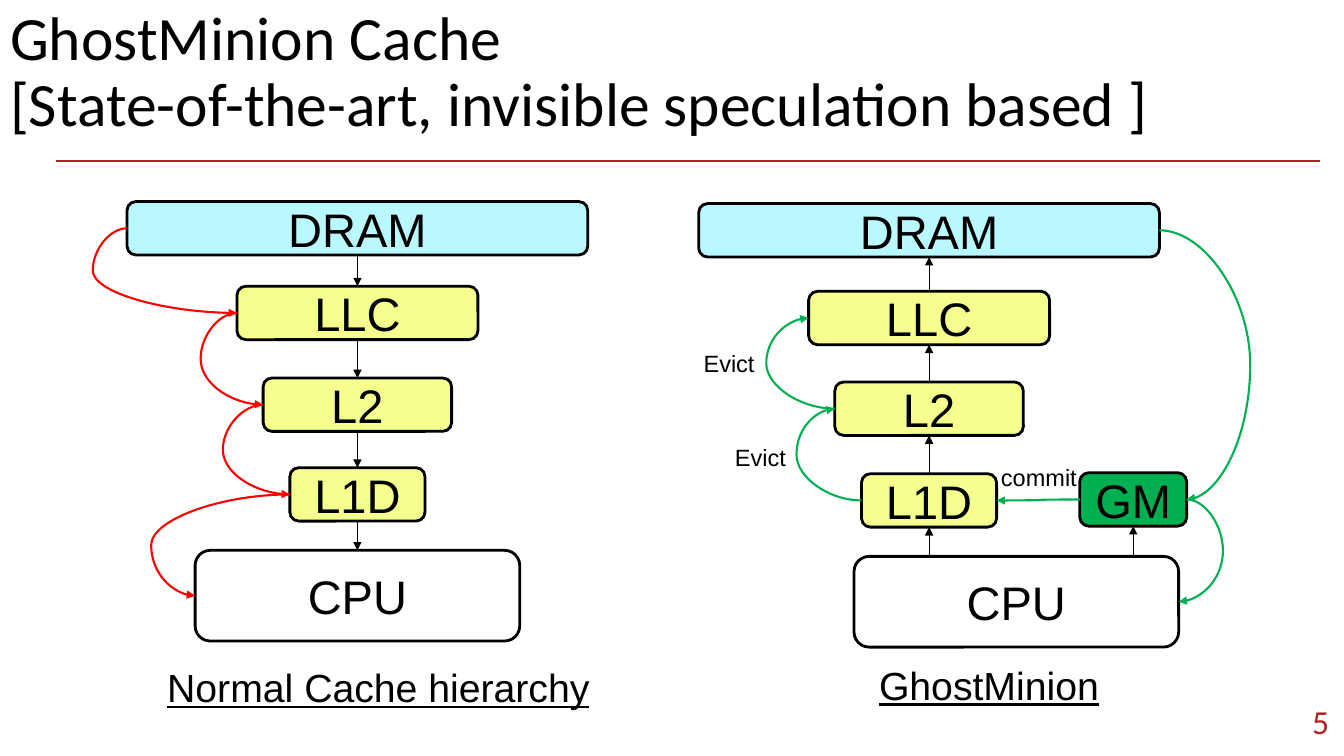
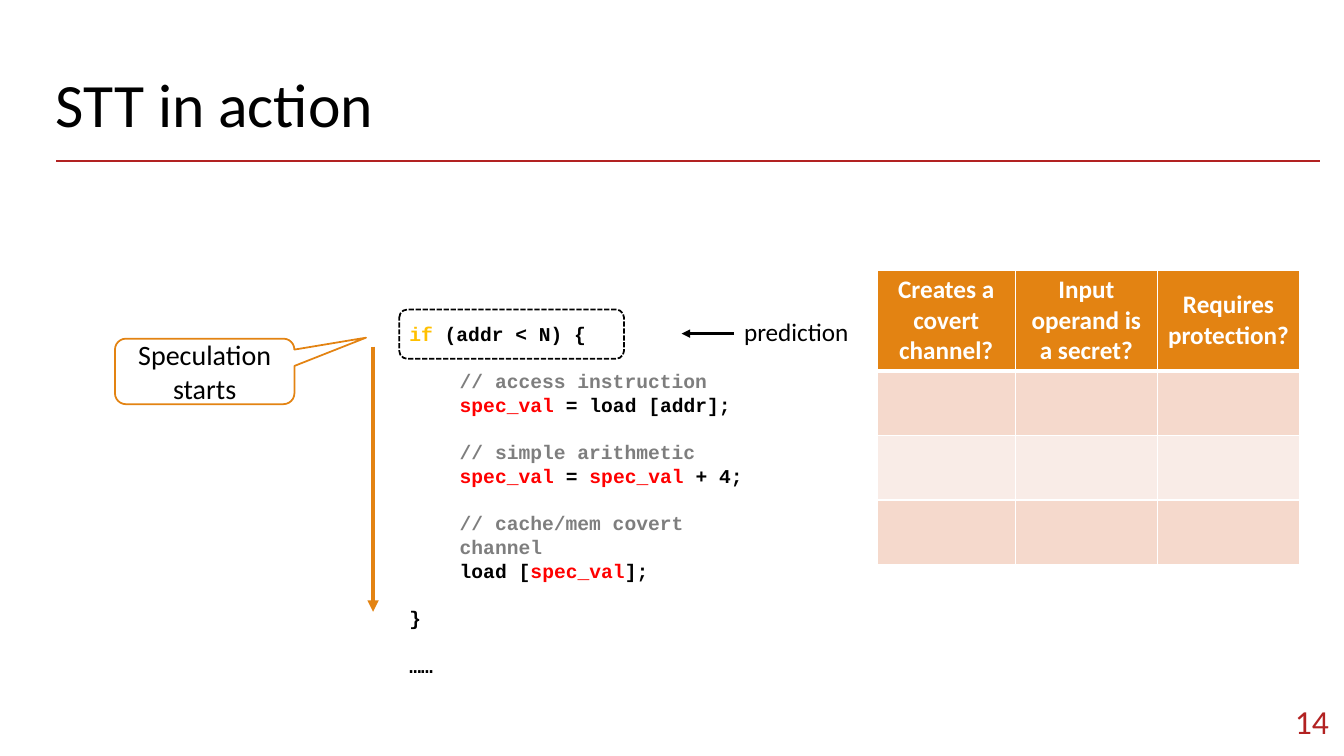
from lxml import etree
from pptx import Presentation
from pptx.dml.color import RGBColor
from pptx.enum.dml import MSO_LINE
from pptx.enum.shapes import MSO_CONNECTOR, MSO_SHAPE
from pptx.enum.text import MSO_ANCHOR, MSO_AUTO_SIZE, PP_ALIGN
from pptx.oxml.ns import qn
from pptx.util import Inches, Pt

STRAIGHT, CURVE = MSO_CONNECTOR.STRAIGHT, MSO_CONNECTOR.CURVE
ROUNDED, CALLOUT = MSO_SHAPE.ROUNDED_RECTANGLE, MSO_SHAPE.ROUNDED_RECTANGULAR_CALLOUT
SYS_DASH = MSO_LINE.SQUARE_DOT
LEFT, CENTER, RIGHT = PP_ALIGN.LEFT, PP_ALIGN.CENTER, PP_ALIGN.RIGHT
TOP_ANCHOR, MIDDLE = MSO_ANCHOR.TOP, MSO_ANCHOR.MIDDLE
NO_AUTOFIT = MSO_AUTO_SIZE.NONE

# Connection sites of a rounded rectangle
TOP_SITE, LEFT_SITE, BOTTOM_SITE, RIGHT_SITE = range(4)

BLACK, WHITE, RED, GRAY = "000000", "FFFFFF", "FF0000", "7E7E7E"
CRIMSON, GREEN, ORANGE, GOLD = "B22222", "00B050", "E38312", "FFC000"
YELLOW, CYAN = "F4FF8D", "BAF8FF"
BAND_DARK, BAND_LIGHT = "F5D9CC", "F9ECE7"
SANS, DIAGRAM, CODE = "Calibri", "Arial", "Courier New"

BOX_HEIGHT, CPU_WIDTH, CPU_HEIGHT = 0.53, 3.22, 0.9
DRAM_WIDTH = 4.57
CACHES = [("DRAM", DRAM_WIDTH, CYAN), ("LLC", 2.39, YELLOW),
          ("L2", 1.87, YELLOW), ("L1D", 1.34, YELLOW)]


def rgb(color):
    return RGBColor.from_string(color)


def set_font(target, size, name=SANS, color=BLACK, bold=False):
    font = target.font
    font.size, font.name, font.bold = Pt(size), name, bold
    font.color.rgb = rgb(color)


def set_frame(frame, anchor=TOP_ANCHOR, side=0.1, edge=0.05):
    frame.word_wrap = True
    frame.auto_size = NO_AUTOFIT
    frame.vertical_anchor = anchor
    frame.margin_left = frame.margin_right = Inches(side)
    frame.margin_top = frame.margin_bottom = Inches(edge)


def write(frame, text, size, name=SANS, color=BLACK, align=LEFT, bold=False):
    frame.text = text
    for paragraph in frame.paragraphs:
        paragraph.alignment = align
        set_font(paragraph, size, name, color, bold)


def add_text(slide, box, text, size, name=SANS, color=BLACK, align=LEFT,
             anchor=TOP_ANCHOR, side=0.1, edge=0.05):
    shape = slide.shapes.add_textbox(*map(Inches, box))
    set_frame(shape.text_frame, anchor, side, edge)
    write(shape.text_frame, text, size, name, color, align)
    return shape


def add_box(slide, preset, box, fill=None, line=BLACK, width=2):
    shape = slide.shapes.add_shape(preset, *map(Inches, box))
    shape.shadow.inherit = False
    if fill:
        shape.fill.solid()
        shape.fill.fore_color.rgb = rgb(fill)
    else:
        shape.fill.background()
    shape.line.color.rgb = rgb(line)
    shape.line.width = Pt(width)
    return shape


def style_connector(connector, color, width, arrow=True):
    connector.line.color.rgb = rgb(color)
    connector.line.width = Pt(width)
    properties = connector._element.spPr
    if arrow:
        outline = properties.find(qn("a:ln"))
        etree.SubElement(outline, qn("a:tailEnd"), type="triangle")
    etree.SubElement(properties, qn("a:effectLst"))


def add_line(slide, start, end, color=BLACK, width=0.75, arrow=True):
    connector = slide.shapes.add_connector(STRAIGHT, *map(Inches, start + end))
    style_connector(connector, color, width, arrow)
    return connector


def link(slide, kind, start, end, color=BLACK, width=0.75):
    """Glue an arrow between two (shape, site) pairs."""
    connector = slide.shapes.add_connector(kind, 0, 0, 0, 0)
    connector.begin_connect(*start)
    connector.end_connect(*end)
    style_connector(connector, color, width)
    return connector


def curve(slide, start, end, color, bend=None):
    """Curved arrow whose middle runs through x = bend."""
    connector = link(slide, CURVE, start, end, color, 1.5)
    if bend is not None:
        span = connector.end_x - connector.begin_x
        ratio = (Inches(bend) - connector.begin_x) / span
        guides = connector._element.spPr.find(qn("a:prstGeom")).find(qn("a:avLst"))
        etree.SubElement(guides, qn("a:gd"), name="adj1",
                         fmla=f"val {round(ratio * 100000)}")


# Parts every slide shares
def new_slide(presentation, title, title_box, number):
    slide = presentation.slides.add_slide(presentation.slide_layouts[5])
    add_line(slide, (0.56, 1.6), (13.09, 1.6), CRIMSON, 1.5, arrow=False)
    heading = slide.shapes.title
    heading.left, heading.top, heading.width, heading.height = map(Inches, title_box)
    set_frame(heading.text_frame, edge=0.1)
    write(heading.text_frame, title, 44)
    heading.text_frame.paragraphs[0].line_spacing = 0.9
    add_text(slide, (12.27, 6.87, 1.01, 0.57), str(number), 24, color=CRIMSON,
             align=RIGHT, anchor=MIDDLE, edge=0.1)
    return slide


# Cache diagrams
def memory_box(slide, left, top, width, label, fill, height=BOX_HEIGHT):
    shape = add_box(slide, ROUNDED, (left, top, width, height), fill)
    set_frame(shape.text_frame, MIDDLE)
    write(shape.text_frame, label, 33.6, DIAGRAM, align=CENTER)
    return shape


def cache_stack(slide, left, top, offsets):
    axis = left + DRAM_WIDTH / 2
    return [memory_box(slide, axis - width / 2, top + offset, width, label, fill)
            for (label, width, fill), offset in zip(CACHES, offsets)]


def caption(slide, box, text):
    shape = add_text(slide, box, text, 28, DIAGRAM)
    shape.text_frame.paragraphs[0].font.underline = True


def normal_hierarchy(slide, left, top):
    levels = cache_stack(slide, left, top, (0, 0.84, 1.75, 2.64))
    levels.append(memory_box(slide, left + (DRAM_WIDTH - CPU_WIDTH) / 2, top + 3.46,
                             CPU_WIDTH, "CPU", WHITE, CPU_HEIGHT))
    for upper, lower, bend in zip(levels, levels[1:], (-0.34, 0.73, 0.95, 0.24)):
        link(slide, STRAIGHT, (upper, BOTTOM_SITE), (lower, TOP_SITE))
        curve(slide, (upper, LEFT_SITE), (lower, LEFT_SITE), RED, left + bend)
    caption(slide, (left + 0.3, top + 4.53, 4.45, 0.57), "Normal Cache hierarchy")


def ghostminion_hierarchy(slide, left, top):
    levels = cache_stack(slide, left, top, (0, 0.87, 1.77, 2.68))
    dram, llc, l2, l1d = levels
    cpu_top = top + 3.5
    cpu = memory_box(slide, left + 1.54, cpu_top, CPU_WIDTH, "CPU", WHITE, CPU_HEIGHT)
    minion = memory_box(slide, left + 3.78, top + 2.67, 1.06, "GM", GREEN)

    # Upward requests
    for upper, lower in zip(levels, levels[1:]):
        link(slide, STRAIGHT, (lower, TOP_SITE), (upper, BOTTOM_SITE))
    for target, x in ((l1d, left + DRAM_WIDTH / 2), (minion, left + 4.31)):
        request = add_line(slide, (x, cpu_top), (x, cpu_top - 0.3))
        request.end_connect(target, BOTTOM_SITE)

    # Fills, commit and evictions
    for source, source_site, target, target_site, bend in (
            (dram, RIGHT_SITE, minion, RIGHT_SITE, left + 5.47),
            (minion, RIGHT_SITE, cpu, RIGHT_SITE, left + 5.2),
            (minion, LEFT_SITE, l1d, RIGHT_SITE, None),
            (l1d, LEFT_SITE, l2, LEFT_SITE, left + 0.97),
            (l2, LEFT_SITE, llc, LEFT_SITE, left + 0.67)):
        curve(slide, (source, source_site), (target, target_site), GREEN, bend)
    for label, x, y, width in (("commit", 2.9, 2.52, 0.96),
                               ("Evict", 0.26, 2.33, 0.71),
                               ("Evict", -0.05, 1.39, 0.71)):
        add_text(slide, (left + x, top + y, width, 0.38), label, 16.8, DIAGRAM)
    caption(slide, (left + 1.69, top + 4.49, 2.41, 0.57), "GhostMinion")


# Speculation example: (indent, gap before, coloured runs) for each line
CODE_LINES = [
    (0, 0, [("if ", GOLD), ("(addr < N) {", BLACK)]),
    (0.5, 17, [("// access instruction", GRAY)]),
    (0.5, 0, [("spec_val ", RED), ("= load [addr];", BLACK)]),
    (0.5, 17, [("// simple arithmetic", GRAY)]),
    (0.5, 0, [("spec_val ", RED), ("= ", BLACK), ("spec_val ", RED), ("+ 4;", BLACK)]),
    (0.5, 17, [("// cache/mem covert channel", GRAY)]),
    (0.5, 0, [("load [", BLACK), ("spec_val", RED), ("];", BLACK)]),
    (0, 17, [("}", BLACK)]),
    (0, 17, [("……", BLACK)]),
]


def code_listing(slide, left, top):
    add_box(slide, ROUNDED, (left - 0.1, top - 0.12, 2.23, 0.49),
            width=1.25).line.dash_style = SYS_DASH
    shape = slide.shapes.add_textbox(*map(Inches, (left, top, 3.5, 3.6)))
    frame = shape.text_frame
    set_frame(frame, side=0, edge=0)
    for index, (indent, gap, runs) in enumerate(CODE_LINES):
        paragraph = frame.add_paragraph() if index else frame.paragraphs[0]
        paragraph._p.get_or_add_pPr().set("marL", str(Inches(indent)))
        paragraph.line_spacing = Pt(16.9)
        if gap:
            paragraph.space_before = Pt(gap)
        for text, color in runs:
            run = paragraph.add_run()
            run.text = text
            set_font(run, 14, CODE, color, bold=True)


def speculation_marks(slide, left, top):
    # Callout with its tip at the start of the timeline
    width, height, tip_x, tip_y = 1.78, 0.65, 2.49, -0.01
    shape = add_box(slide, CALLOUT, (left, top, width, height), WHITE, ORANGE, 1.25)
    shape.adjustments[0] = tip_x / width - 0.5
    shape.adjustments[1] = tip_y / height - 0.5
    set_frame(shape.text_frame, MIDDLE, 0, 0)
    write(shape.text_frame, "Speculation\nstarts", 20, align=CENTER)
    add_line(slide, (left + 2.56, top + 0.08), (left + 2.56, top + 2.71), ORANGE, 2.75)
    # Prediction label
    add_line(slide, (left + 6.14, top - 0.05), (left + 5.62, top - 0.05), width=2)
    add_text(slide, (left + 6.24, top - 0.22, 1.2, 0.33), "prediction", 18, side=0, edge=0)


def set_borders(cell, **widths):
    properties = cell._tc.get_or_add_tcPr()
    for side in "LRTB":
        border = etree.SubElement(properties, qn(f"a:ln{side}"),
                                  w=str(Pt(widths.get(side, 1))))
        fill = etree.SubElement(border, qn("a:solidFill"))
        etree.SubElement(fill, qn("a:srgbClr"), val=WHITE)


def protection_table(slide, left, top):
    headers = ["Creates a covert channel?", "Input operand is a secret?",
               "Requires protection?"]
    widths, heights = (1.37, 1.41, 1.41), (1, 0.64, 0.64, 0.64)
    fills = (ORANGE, BAND_DARK, BAND_LIGHT, BAND_DARK)
    box = (left, top, sum(widths), sum(heights))
    table = slide.shapes.add_table(len(heights), len(widths), *map(Inches, box)).table
    table.first_row = table.horz_banding = False
    for column, width in zip(table.columns, widths):
        column.width = Inches(width)
    for index, (row, height, fill) in enumerate(zip(table.rows, heights, fills)):
        row.height = Inches(height)
        for cell in row.cells:
            set_borders(cell, T=3 if index == 1 else 1, B=3 if index == 0 else 1)
            cell.fill.solid()
            cell.fill.fore_color.rgb = rgb(fill)
    for cell, header in zip(table.rows[0].cells, headers):
        cell.vertical_anchor = MIDDLE
        cell.margin_left = cell.margin_right = Inches(0.1)
        cell.margin_top = cell.margin_bottom = Inches(0.02)
        write(cell.text_frame, header, 18, color=WHITE, align=CENTER, bold=True)


def main():
    presentation = Presentation()
    presentation.slide_width, presentation.slide_height = Inches(13.33), Inches(7.5)

    slide = new_slide(
        presentation,
        "GhostMinion Cache \v[State-of-the-art, invisible speculation based ]",
        (0, -0.03, 13.33, 1.5), 5)
    normal_hierarchy(slide, 1.26, 2)
    ghostminion_hierarchy(slide, 6.93, 2.02)

    slide = new_slide(presentation, "STT in action", (0.45, 0.64, 12.42, 0.84), 14)
    code_listing(slide, 4.06, 3.19)
    speculation_marks(slide, 1.14, 3.36)
    protection_table(slide, 8.7, 2.68)

    presentation.save("out.pptx")


if __name__ == "__main__":
    main()
